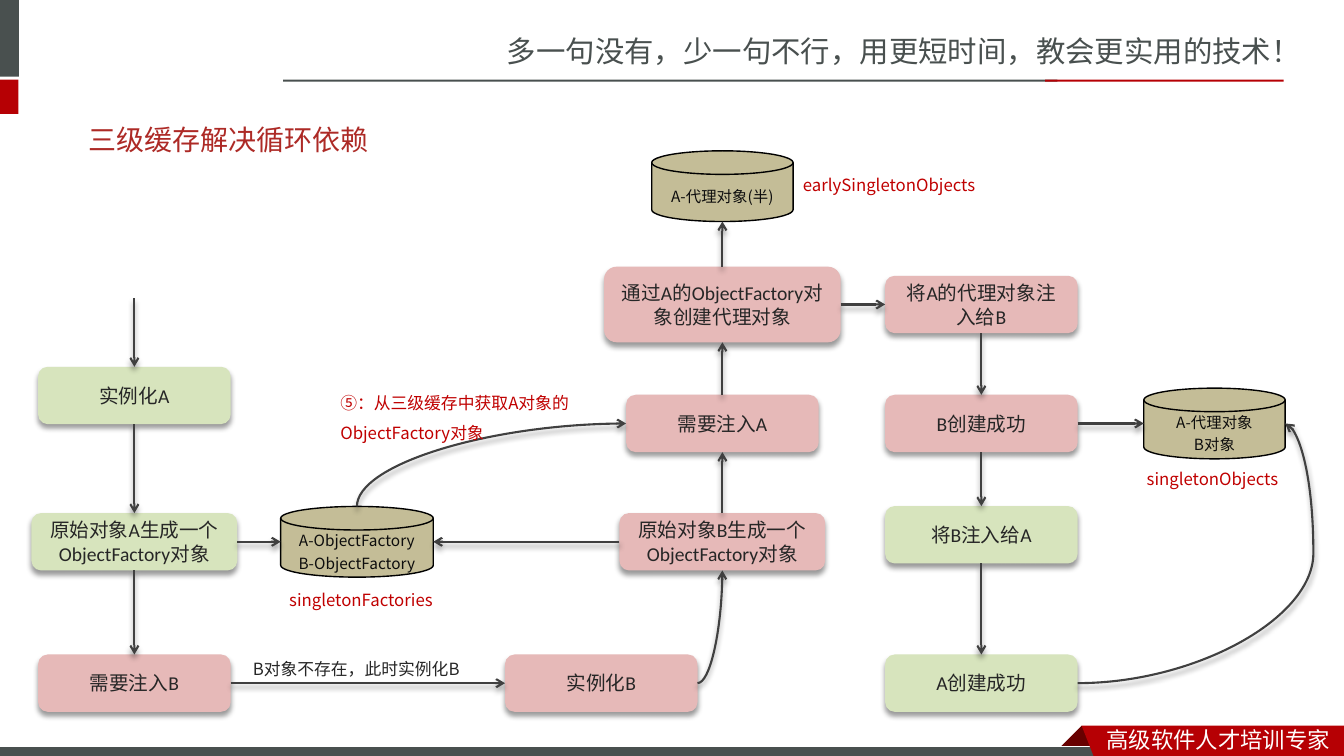
from collections import namedtuple
from dataclasses import dataclass

from lxml import etree
from pptx import Presentation
from pptx.dml.color import RGBColor
from pptx.enum.shapes import MSO_CONNECTOR, MSO_SHAPE
from pptx.enum.text import MSO_ANCHOR, MSO_AUTO_SIZE, PP_ALIGN
from pptx.oxml.ns import qn
from pptx.util import Pt

RECTANGLE = MSO_SHAPE.RECTANGLE
ROUNDED = MSO_SHAPE.ROUNDED_RECTANGLE
CYLINDER = MSO_SHAPE.FLOWCHART_MAGNETIC_DISK
STRAIGHT, CURVE = MSO_CONNECTOR.STRAIGHT, MSO_CONNECTOR.CURVE
LEFT_ALIGN, CENTER = PP_ALIGN.LEFT, PP_ALIGN.CENTER
ANCHOR_TOP, ANCHOR_MIDDLE = MSO_ANCHOR.TOP, MSO_ANCHOR.MIDDLE
NO_AUTO_SIZE = MSO_AUTO_SIZE.NONE
TOP, LEFT, BOTTOM, RIGHT = range(4)

Box = namedtuple("Box", "left top width height")


@dataclass(frozen=True)
class Theme:
    gray: str = "49504F"
    red: str = "B60004"
    fold: str = "680000"
    title: str = "AD2A26"
    green_step: str = "D7E4BD"
    pink_step: str = "E6B9B8"
    cache: str = "C4BD97"
    cache_name: str = "C00000"
    arrow: str = "404040"
    ink: str = "262626"
    cache_ink: str = "0D0D0D"
    black: str = "000000"
    white: str = "FFFFFF"
    slogan_size: int = 21
    title_size: int = 20
    footer_size: int = 16
    step_size: int = 14
    label_size: int = 12
    cache_size: int = 11
    chinese_font: str = "Noto Sans CJK SC"
    label_font: str = "Noto Sans CJK JP"
    step_font: str = "Calibri"
    title_font: str = "Arial"


THEME = Theme()


def set_text(shape, text, size, color, font=THEME.chinese_font, align=LEFT_ALIGN,
             anchor=ANCHOR_TOP, line_spacing=None, space_before=None):
    frame = shape.text_frame
    frame.word_wrap = True
    frame.auto_size = NO_AUTO_SIZE
    frame.vertical_anchor = anchor
    paragraph = frame.paragraphs[0]
    paragraph.alignment = align
    paragraph.line_spacing = line_spacing
    if space_before is not None:
        paragraph.space_before = Pt(space_before)
    run = paragraph.add_run()
    run.text = text
    run.font.size = Pt(size)
    run.font.color.rgb = RGBColor.from_string(color)
    run.font.name = font
    east_asian = etree.SubElement(run._r.get_or_add_rPr(), qn("a:ea"))
    east_asian.set("typeface", THEME.chinese_font)


def add_text(slide, box, text, **text_format):
    shape = slide.shapes.add_textbox(*map(Pt, box))
    set_text(shape, text, **text_format)


def paint(shape, fill, line=None, line_width=1):
    shape.shadow.inherit = False
    shape.fill.solid()
    shape.fill.fore_color.rgb = RGBColor.from_string(fill)
    if line:
        shape.line.color.rgb = RGBColor.from_string(line)
        shape.line.width = Pt(line_width)
    else:
        shape.line.fill.background()
    return shape


def add_block(slide, kind, box, fill, **outline):
    return paint(slide.shapes.add_shape(kind, *map(Pt, box)), fill, **outline)


def add_polygon(slide, points, fill):
    corners = [(Pt(x), Pt(y)) for x, y in points]
    builder = slide.shapes.build_freeform(*corners[0])
    builder.add_line_segments(corners[1:], close=True)
    paint(builder.convert_to_shape(), fill)


def drop_shadow(shape):
    properties = shape._element.spPr
    effects = properties.find(qn("a:effectLst"))
    if effects is None:
        effects = etree.SubElement(properties, qn("a:effectLst"))
    shadow = etree.SubElement(effects, qn("a:outerShdw"), blurRad=str(Pt(4)),
                              dist=str(Pt(3)), dir="5400000", rotWithShape="0")
    color = etree.SubElement(shadow, qn("a:srgbClr"), val=THEME.black)
    etree.SubElement(color, qn("a:alpha"), val="40000")


def side_point(shape, side):
    x = shape.left + {LEFT: 0, RIGHT: shape.width}.get(side, shape.width // 2)
    y = shape.top + {TOP: 0, BOTTOM: shape.height}.get(side, shape.height // 2)
    return x, y


def add_arrow(slide, begin, end, kind=STRAIGHT, arrow_end="tailEnd"):
    connector = slide.shapes.add_connector(kind, *begin, *end)
    connector.line.color.rgb = RGBColor.from_string(THEME.arrow)
    connector.line.width = Pt(1.5)
    etree.SubElement(connector.line._get_or_add_ln(), qn(f"a:{arrow_end}"), type="arrow")
    drop_shadow(connector)
    return connector


def join(slide, source, source_side, target, target_side):
    connector = add_arrow(slide, side_point(source, source_side), side_point(target, target_side))
    if source.auto_shape_type == ROUNDED:
        connector.begin_connect(source, source_side)
    if target.auto_shape_type == ROUNDED:
        connector.end_connect(target, target_side)


def add_curve(slide, begin, end, preset, adjustment=None, **options):
    connector = add_arrow(slide, begin, end, CURVE, **options)
    geometry = connector._element.spPr.find(qn("a:prstGeom"))
    geometry.set("prst", preset)
    if adjustment:
        guides = geometry.find(qn("a:avLst"))
        if guides is None:
            guides = etree.SubElement(geometry, qn("a:avLst"))
        etree.SubElement(guides, qn("a:gd"), name="adj1", fmla=f"val {adjustment}")


def add_header(slide, box):
    add_text(slide, Box(box.left + 355, box.top + 20, 605.5, 34),
             "多一句没有，少一句不行，用更短时间，教会更实用的技术！",
             size=THEME.slogan_size, color=THEME.gray)
    for left, top, width, height, fill in (
            (-4.3, 0, 17.8, 54.7, THEME.gray), (-4.3, 56.9, 17.4, 24.5, THEME.red),
            (202.3, 56.9, 553, 1.5, THEME.gray), (746.6, 56.9, 170.4, 1.5, THEME.red)):
        add_block(slide, RECTANGLE, Box(box.left + left, box.top + top, width, height), fill)


def add_footer(slide, box):
    right, top = box.left + box.width, box.top
    ribbon = right - 187.4
    add_polygon(slide, [(ribbon, top), (ribbon + 15.8, top + 15.8), (ribbon + 15, top + 16.6),
                        (ribbon - 15, top + 16.6), (ribbon - 15.8, top + 15.8)], THEME.fold)
    add_block(slide, RECTANGLE, Box(box.left - 0.7, top + 15.1, 792, 8.6), THEME.gray,
              line=THEME.white, line_width=0.75)
    add_polygon(slide, [(ribbon, top), (right, top), (right, top + 24.5),
                        (ribbon + 9.4, top + 23.8)], THEME.red)
    add_text(slide, Box(right - 176.6, top - 3.6, 176.6, 26.6), "高级软件人才培训专家",
             size=THEME.footer_size, color=THEME.white)


def add_title(slide, box):
    title = slide.shapes.title
    title.left, title.top, title.width, title.height = map(Pt, box)
    set_text(title, "三级缓存解决循环依赖", size=THEME.title_size, color=THEME.title,
             font=THEME.title_font, anchor=ANCHOR_MIDDLE)


def add_flow(slide, box):
    def centered(x, y, width, height):
        return Box(box.left + x - width / 2, box.top + y - height / 2, width, height)

    def step(text, x, y, fill, width=137.5, height=41):
        shape = add_block(slide, ROUNDED, centered(x, y, width, height), fill)
        drop_shadow(shape)
        set_text(shape, text, size=THEME.step_size, color=THEME.ink, font=THEME.step_font,
                 align=CENTER, anchor=ANCHOR_MIDDLE)
        return shape

    def cache(lines, x, y, width=101):
        shape = add_block(slide, CYLINDER, centered(x, y, width, 50.5), THEME.cache,
                          line=THEME.black)
        return shape, lines, x, y

    def label(text, left, top, width, color=THEME.cache_name):
        add_text(slide, Box(box.left + left, box.top + top, width, 40), text,
                 size=THEME.label_size, color=color, font=THEME.label_font,
                 line_spacing=1.5, space_before=2.4)

    # Columns and rows, by centre
    a_column, b_column, finish_column = 74, 494, 679
    proxy_row, inject_row, factory_row, bottom_row = 109.5, 194.5, 279, 380
    green, pink = THEME.green_step, THEME.pink_step

    # Steps
    create_a = step("实例化A", a_column, 174.5, green)
    factory_a = step("原始对象A生成一个ObjectFactory对象", a_column, factory_row, green, 147)
    need_b = step("需要注入B", a_column, bottom_row, pink)
    create_b = step("实例化B", 407.5, bottom_row, pink)
    factory_b = step("原始对象B生成一个ObjectFactory对象", b_column, factory_row, pink, 147)
    need_a = step("需要注入A", b_column, inject_row, pink)
    proxy_a = step("通过A的ObjectFactory对象创建代理对象", b_column, proxy_row, pink, 169, 54)
    inject_proxy = step("将A的代理对象注入给B", finish_column, proxy_row, pink)
    b_ready = step("B创建成功", finish_column, inject_row, pink)
    inject_b = step("将B注入给A", finish_column, 274, green)
    a_ready = step("A创建成功", finish_column, bottom_row, green)

    # Caches
    caches = (cache(["A-ObjectFactory", "B-ObjectFactory"], 233, factory_row, 109),
              cache(["A-代理对象(半)"], b_column, 25),
              cache(["A-代理对象", "B对象"], 845.5, inject_row))
    factories, early, singletons = (entry[0] for entry in caches)

    # Arrows
    start_x, start_y = side_point(create_a, TOP)
    entry_arrow = add_arrow(slide, (start_x, start_y - Pt(49)), (start_x, start_y))
    entry_arrow.end_connect(create_a, TOP)
    for source, source_side, target, target_side in (
            (create_a, BOTTOM, factory_a, TOP), (factory_a, BOTTOM, need_b, TOP),
            (factory_a, RIGHT, factories, LEFT), (need_b, RIGHT, create_b, LEFT),
            (factory_b, LEFT, factories, RIGHT), (factory_b, TOP, need_a, BOTTOM),
            (need_a, TOP, proxy_a, BOTTOM), (proxy_a, TOP, early, BOTTOM),
            (proxy_a, RIGHT, inject_proxy, LEFT), (inject_proxy, BOTTOM, b_ready, TOP),
            (b_ready, RIGHT, singletons, LEFT), (b_ready, BOTTOM, inject_b, TOP),
            (inject_b, BOTTOM, a_ready, TOP)):
        join(slide, source, source_side, target, target_side)
    add_curve(slide, side_point(create_b, RIGHT), side_point(factory_b, BOTTOM),
              "curvedConnector2")
    add_curve(slide, side_point(a_ready, RIGHT), side_point(singletons, RIGHT),
              "curvedConnector3", adjustment=113600)
    add_curve(slide, side_point(need_a, LEFT), side_point(factories, TOP),
              "curvedConnector2", arrow_end="headEnd")

    # Labels
    label("singletonFactories", 177.5, 302.5, 120)
    label("singletonObjects", 790, 216, 111)
    label("earlySingletonObjects", 544.5, 6, 177)
    label("⑤：从三级缓存中获取A对象的ObjectFactory对象", 214, 161.5, 244)
    label("B对象不存在，此时实例化B", 151.5, 351.5, 169, THEME.ink)
    for _, lines, x, y in caches:
        for index, line in enumerate(lines):
            top = y + 5 - 8 * len(lines) + 16 * index
            add_text(slide, Box(box.left + x - 61, box.top + top, 122, 21), line,
                     size=THEME.cache_size, color=THEME.cache_ink, align=CENTER)


def main():
    presentation = Presentation()
    presentation.slide_width, presentation.slide_height = Pt(960), Pt(540)
    slide = presentation.slides.add_slide(presentation.slide_layouts[5])
    add_header(slide, Box(0, 0, 960, 82))
    add_footer(slide, Box(0, 518.4, 960, 21.6))
    add_title(slide, Box(56, 79, 842.5, 41))
    add_flow(slide, Box(22, 108, 916, 401))
    presentation.save("out.pptx")


if __name__ == "__main__":
    main()
